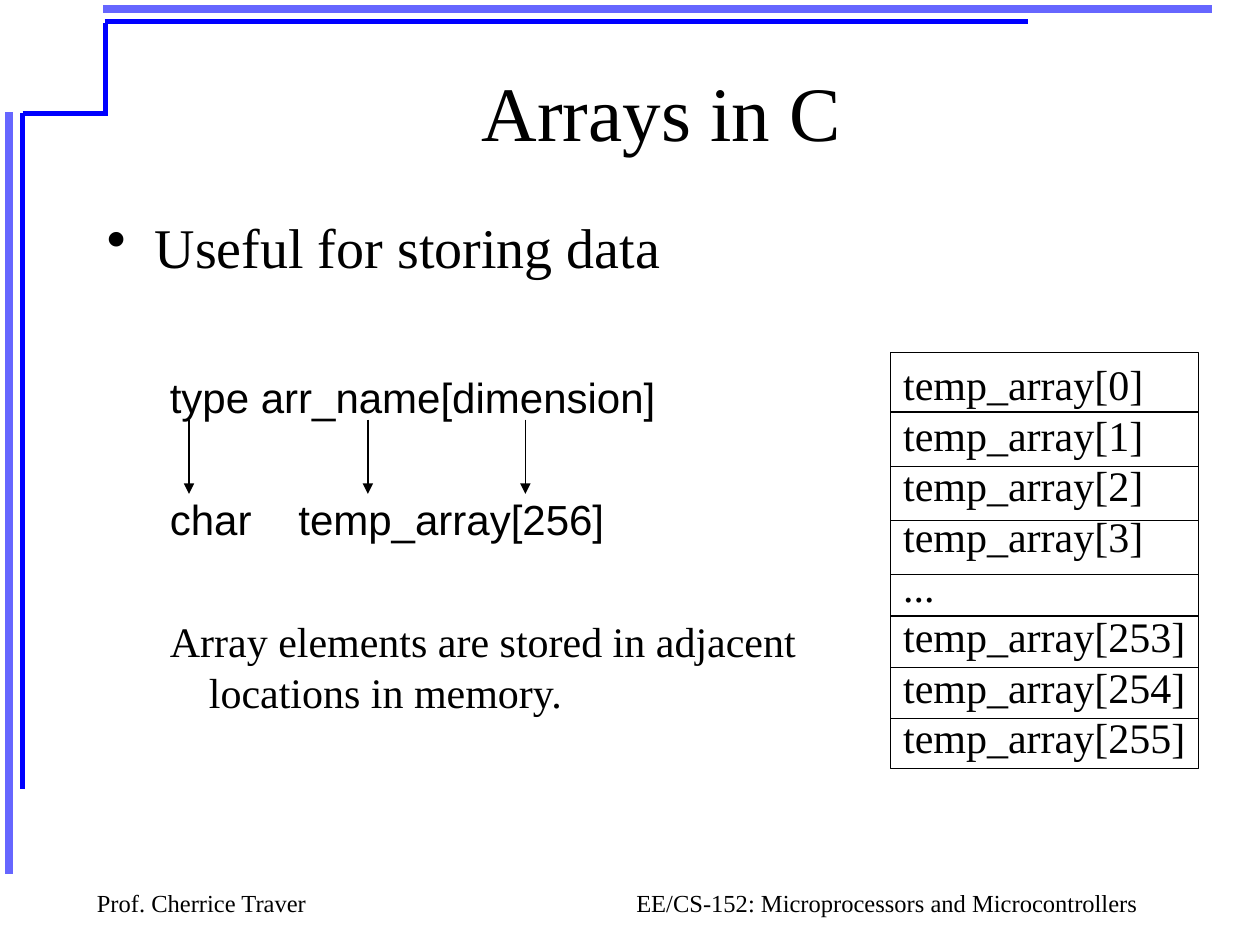
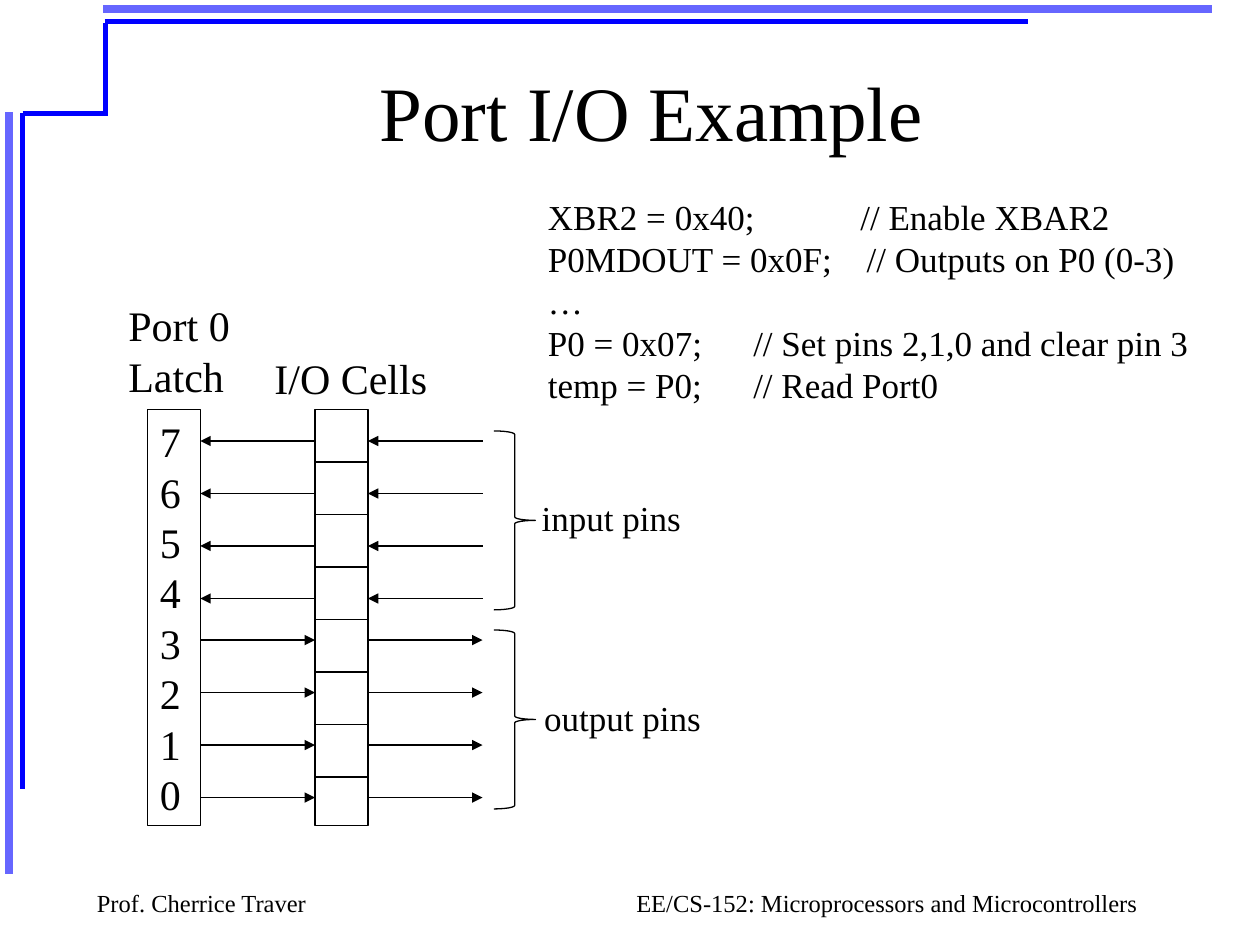
from dataclasses import dataclass

from lxml import etree
from pptx import Presentation
from pptx.dml.color import RGBColor
from pptx.enum.shapes import MSO_CONNECTOR, MSO_SHAPE
from pptx.enum.text import MSO_ANCHOR, PP_ALIGN
from pptx.oxml.ns import qn
from pptx.util import Inches, Pt

STRAIGHT = MSO_CONNECTOR.STRAIGHT
RECT, BRACE = MSO_SHAPE.RECTANGLE, MSO_SHAPE.RIGHT_BRACE
LEFT, CENTER = PP_ALIGN.LEFT, PP_ALIGN.CENTER
TOP, MIDDLE = MSO_ANCHOR.TOP, MSO_ANCHOR.MIDDLE


@dataclass(frozen=True)
class Theme:
    ink: RGBColor = RGBColor(0, 0, 0)
    blue: RGBColor = RGBColor(0, 0, 0xFF)
    pale_blue: RGBColor = RGBColor(0x66, 0x66, 0xFF)
    serif: str = "Times New Roman"
    sans: str = "Arial"
    title: int = 44
    bullet: int = 32
    body: int = 24
    label: int = 20
    footer: int = 14
    leading: float = 1.2
    hairline: float = 0.75


theme = Theme()
prs = Presentation()
prs.slide_width, prs.slide_height = Inches(10), Inches(7.5)
COL, ROW = prs.slide_width / 10, prs.slide_height / 7.5
title_only = prs.slide_layouts[5]


def add_line(slide, start, end, color=theme.ink, width=theme.hairline, arrow=False):
    """Draw a line between two (column, row) points, with an optional arrowhead at the end."""
    ends = [int(v * unit) for point in (start, end) for v, unit in zip(point, (COL, ROW))]
    line = slide.shapes.add_connector(STRAIGHT, *ends)
    line.line.color.rgb = color
    line.line.width = Pt(width)
    etree.SubElement(line.element.spPr, qn("a:effectLst"))
    if arrow:
        etree.SubElement(line.line._get_or_add_ln(), qn("a:tailEnd"), type="triangle")
    return line


def fill_box(sp, box, lines=(), size=theme.body, align=LEFT, anchor=TOP, gap=0, tabs=None):
    """Place a shape on the grid and write its lines; tabs maps a line number to its tab stop."""
    sp.left, sp.top, sp.width, sp.height = (
        int(v * unit) for v, unit in zip(box, (COL, ROW, COL, ROW)))
    tf = sp.text_frame
    tf.word_wrap = True
    tf.vertical_anchor = anchor
    for i, text in enumerate(lines):
        p = tf.paragraphs[0] if i == 0 else tf.add_paragraph()
        if tabs and i in tabs:
            stops = etree.SubElement(p._p.get_or_add_pPr(), qn("a:tabLst"))
            etree.SubElement(stops, qn("a:tab"), pos=str(int(tabs[i] * COL)), algn="l")
        p.alignment = align
        p.line_spacing = Pt(size * theme.leading)
        p.space_before = Pt(gap if i else 0)
        r = p.add_run()
        r.text = text
        r.font.name, r.font.size = theme.serif, Pt(size)
        r.font.color.rgb = theme.ink
    return sp


arrays, port = [prs.slides.add_slide(title_only) for _ in range(2)]
for slide, heading, left in ((arrays, "Arrays in C", 1), (port, "Port I/O Example", 0.92)):
    fill_box(slide.shapes.title, (left, 0.25, 8.5, 1.25), [heading], theme.title, CENTER, MIDDLE)

# Shared frame and footers, moved to the slide master
frame = [add_line(arrays, start, end, color, width) for start, end, color, width in (
    ((0.07, 0.89), (0.07, 6.94), theme.pale_blue, 4.5),
    ((0.82, 0.07), (9.62, 0.07), theme.pale_blue, 4.5),
    ((0.18, 0.9), (0.18, 6.26), theme.blue, 3),
    ((0.83, 0.17), (8.16, 0.17), theme.blue, 3),
    ((0.18, 0.9), (0.85, 0.9), theme.blue, 3),
    ((0.84, 0.92), (0.84, 0.18), theme.blue, 3),
)]
for text, left, width, align in (
    ("Prof. Cherrice Traver", 0.67, 3.08, LEFT),
    ("EE/CS-152: Microprocessors and Microcontrollers", 4.83, 4.42, CENTER),
):
    sp = arrays.shapes.add_textbox(0, 0, 0, 0)
    frame.append(fill_box(sp, (left, 7, width, 0.33), [text], theme.footer, align))
for shape_id, sp in enumerate(frame, start=100):
    sp.element.xpath(".//p:cNvPr")[0].set("id", str(shape_id))
    prs.slide_master.shapes.element.append(sp.element)

# Arrays: bullet, declaration and memory column
sp = fill_box(arrays.shapes.add_textbox(0, 0, 0, 0), (0.75, 1.64, 5.67, 0.65),
              ["Useful for storing data"], theme.bullet)
pPr = sp.text_frame.paragraphs[0]._p.get_or_add_pPr()
pPr.set("marL", str(Inches(0.38)))
pPr.set("indent", str(-Inches(0.38)))
etree.SubElement(pPr, qn("a:buChar"), char="•")

sp = fill_box(arrays.shapes.add_textbox(0, 0, 0, 0), (1.25, 2.9, 5.17, 3),
              ["type arr_name[dimension]", "char\ttemp_array[256]",
               "Array elements are stored in adjacent locations in memory."],
              gap=41, tabs={1: 1.02})
*declarations, storage = sp.text_frame.paragraphs
for p in declarations:
    p.runs[0].font.name = theme.sans
pPr = storage._p.get_or_add_pPr()
pPr.set("marL", str(Inches(0.31)))
pPr.set("indent", str(-Inches(0.31)))

for x in (1.5, 2.92, 4.17):
    add_line(arrays, (x, 3.33), (x, 3.92), arrow=True)

elements = [f"temp_array[{i}]" for i in (0, 1, 2, 3)] + ["..."]
elements += [f"temp_array[{i}]" for i in (253, 254, 255)]
memory = arrays.shapes.add_shape(RECT, 0, 0, 0, 0)
fill_box(memory, (7.07, 2.8, 2.44, 3.3), elements)
memory.text_frame.word_wrap = False
for y in (3.27, 3.7, 4.13, 4.56, 4.89, 5.3, 5.7):
    add_line(arrays, (7.07, y), (9.51, y))

# Port I/O: latch, cells, pins and code
PITCH = 5 / 12
LATCH_X, CELLS_X, PINS_X, BOX_W = 1.17, 2.5, 3.83, 0.42
BOX_Y, BOX_H = 3.25, 3.3
latch = port.shapes.add_shape(RECT, 0, 0, 0, 0)
fill_box(latch, (LATCH_X, BOX_Y, BOX_W, BOX_H), [str(bit) for bit in range(7, -1, -1)])
cells = port.shapes.add_shape(RECT, 0, 0, 0, 0)
fill_box(cells, (CELLS_X, BOX_Y, BOX_W, BOX_H))
for i in range(1, 8):
    y = BOX_Y + i * PITCH
    add_line(port, (CELLS_X, y), (CELLS_X + BOX_W, y))

outlined = [memory, latch, cells]
for first_y, is_input in ((3.5, True), (5.08, False)):
    for i in range(4):
        y = first_y + i * PITCH
        for x1, x2 in ((LATCH_X + BOX_W, CELLS_X), (CELLS_X + BOX_W, PINS_X)):
            start, end = (x2, x1) if is_input else (x1, x2)
            add_line(port, (start, y), (end, y), arrow=True)
    brace = port.shapes.add_shape(BRACE, 0, 0, 0, 0)
    outlined.append(fill_box(brace, (3.92, first_y - 0.08, 0.33, 1.42)))

for sp in outlined:
    sp.shadow.inherit = False
    sp.fill.background()
    sp.line.color.rgb = theme.ink
    sp.line.width = Pt(theme.hairline)

for text, box, size in (
    ("Port 0 Latch", (0.92, 2.33, 1.25, 0.9), theme.body),
    ("I/O Cells", (2.08, 2.75, 1.5, 0.5), theme.body),
    ("input pins", (4.2, 3.89, 1.5, 0.44), theme.label),
    ("output pins", (4.22, 5.48, 1.5, 0.44), theme.label),
):
    fill_box(port.shapes.add_textbox(0, 0, 0, 0), box, [text], size)

fill_box(port.shapes.add_textbox(0, 0, 0, 0), (4.25, 1.5, 5.42, 1.77), [
    "XBR2 = 0x40;\t// Enable XBAR2",
    "P0MDOUT = 0x0F;\t// Outputs on P0 (0-3)",
    "…",
    "P0 = 0x07;\t// Set pins 2,1,0 and clear pin 3",
    "temp = P0;\t// Read Port0",
], theme.label, tabs={0: 2.48, 1: 2.53, 3: 1.63, 4: 1.63})

prs.save("out.pptx")
